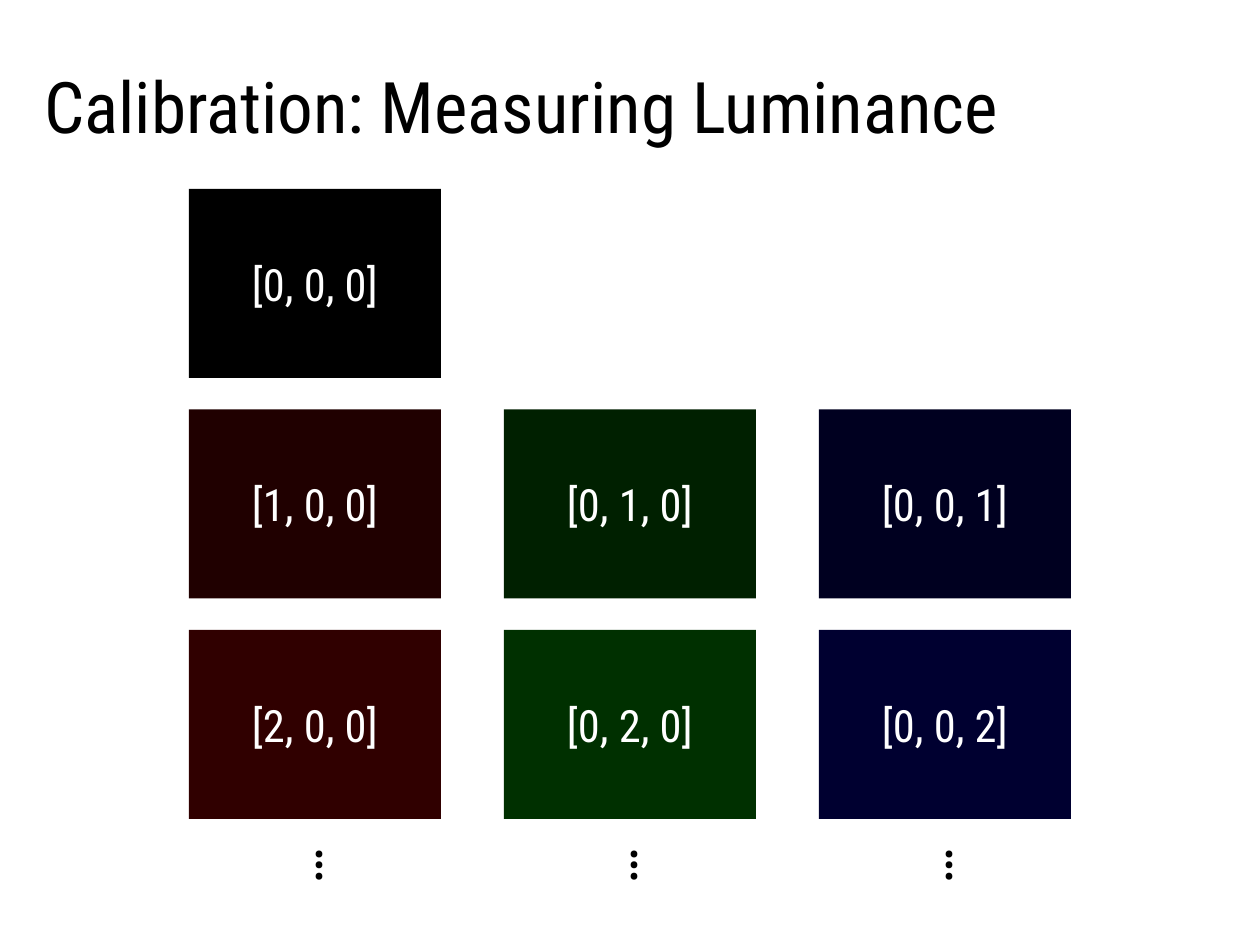
from dataclasses import dataclass

from pptx import Presentation
from pptx import util as u
from pptx.dml.color import RGBColor
from pptx.enum import shapes, text

GRID_UNIT = u.Cm(0.5)
COLUMNS, ROWS = 40, 30


@dataclass(frozen=True)
class Theme:
    font: str = "Roboto Condensed"
    ink: str = "000000"
    paper: str = "FFFFFF"
    title_size: int = 32
    label_size: int = 20
    dots_size: int = 28
    channel_levels: tuple = (0x00, 0x20, 0x30)


class LuminanceSlide:
    """Places elements on a 40 by 30 grid; each place is (column, row, columns, rows)."""

    def __init__(self, deck, theme):
        self.theme = theme
        self.slide = deck.slides.add_slide(deck.slide_layouts[6])
        background = self.slide.background.fill
        background.solid()
        background.fore_color.rgb = RGBColor.from_string(theme.paper)

    def box(self, place):
        return [GRID_UNIT * cells for cells in place]

    def set_text(self, shape, words, size, color, align, insets, wrap=False):
        frame = shape.text_frame
        frame.word_wrap = wrap
        frame.vertical_anchor = text.MSO_ANCHOR.MIDDLE
        (frame.margin_left, frame.margin_top,
         frame.margin_right, frame.margin_bottom) = map(u.Inches, insets)
        paragraph = frame.paragraphs[0]
        paragraph.alignment = align
        run = paragraph.add_run()
        run.text = words
        run.font.name = self.theme.font
        run.font.size = u.Pt(size)
        run.font.color.rgb = RGBColor.from_string(color)
        return paragraph

    def title(self, words, place):
        heading = self.slide.shapes.add_textbox(*self.box(place))
        paragraph = self.set_text(heading, words, self.theme.title_size, self.theme.ink,
                                  text.PP_ALIGN.LEFT, (0.08, 0.04, 0.08, 0.04), wrap=True)
        paragraph.line_spacing = 0.9

    def swatch(self, rgb_steps, place):
        """Draw a patch in the colour of its RGB steps, labelled with them."""
        patch = self.slide.shapes.add_shape(
            shapes.MSO_SHAPE.RECTANGLE, *self.box(place))
        patch.shadow.inherit = False
        patch.fill.solid()
        patch.fill.fore_color.rgb = RGBColor(
            *(self.theme.channel_levels[step] for step in rgb_steps))
        patch.line.fill.background()
        self.set_text(patch, str(rgb_steps), self.theme.label_size, self.theme.paper,
                      text.PP_ALIGN.CENTER, (0.1, 0.05, 0.1, 0.05))

    def continuation(self, place):
        """Draw an ellipsis turned upright, for a series that goes on."""
        dots = self.slide.shapes.add_textbox(*self.box(place))
        self.set_text(dots, "…", self.theme.dots_size, self.theme.ink,
                      text.PP_ALIGN.CENTER, (0.08, 0.04, 0.3, 0.04))
        dots.text_frame._txBody.bodyPr.set("vert", "vert270")


def main():
    deck = Presentation()
    deck.slide_width = GRID_UNIT * COLUMNS
    deck.slide_height = GRID_UNIT * ROWS

    page = LuminanceSlide(deck, Theme())
    page.title("Calibration: Measuring Luminance", (1, 1, 38, 5))

    left, top, width, height = 6, 6, 8, 6
    column_step, row_step = width + 2, height + 1
    page.swatch([0, 0, 0], (left, top, width, height))
    for channel in range(3):
        column = left + channel * column_step
        for step in (1, 2):
            rgb_steps = [0, 0, 0]
            rgb_steps[channel] = step
            page.swatch(rgb_steps, (column, top + step * row_step, width, height))
        page.continuation((column, top + 2 * row_step + height, width, 3))

    deck.save("out.pptx")


if __name__ == "__main__":
    main()
